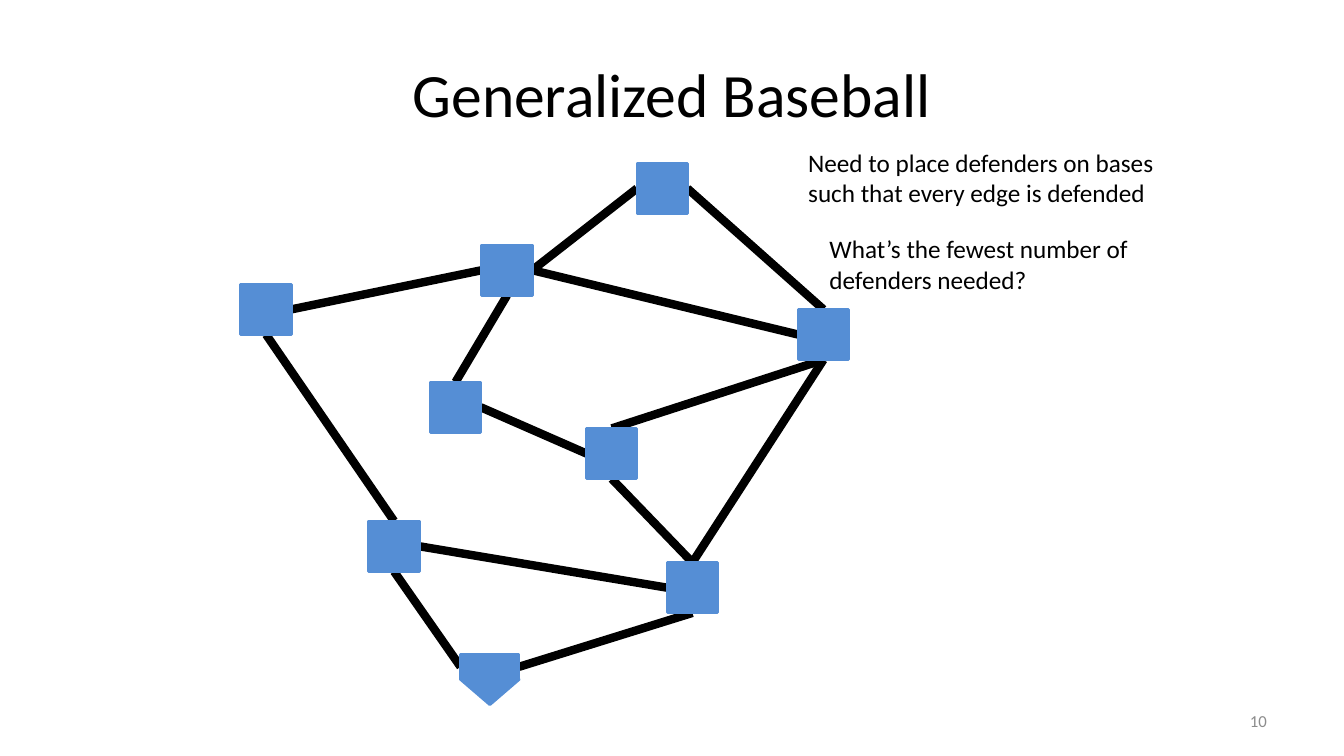
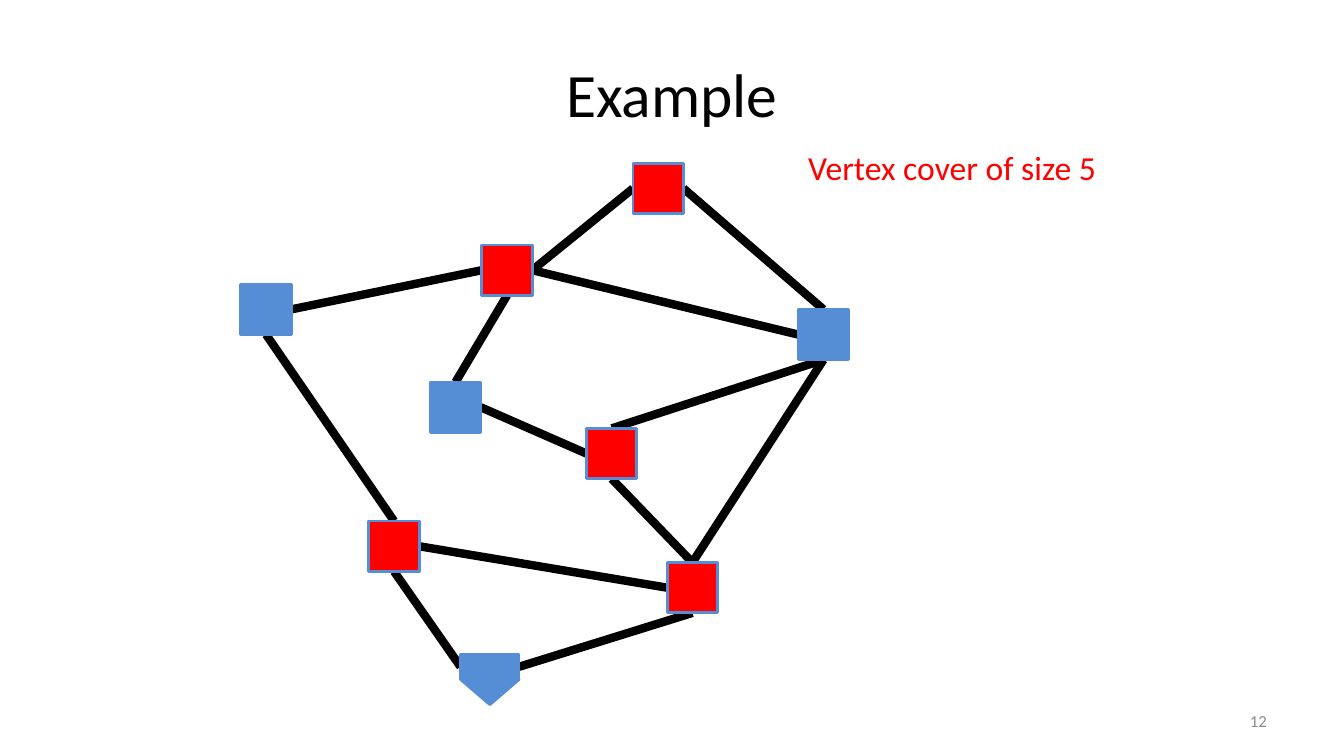
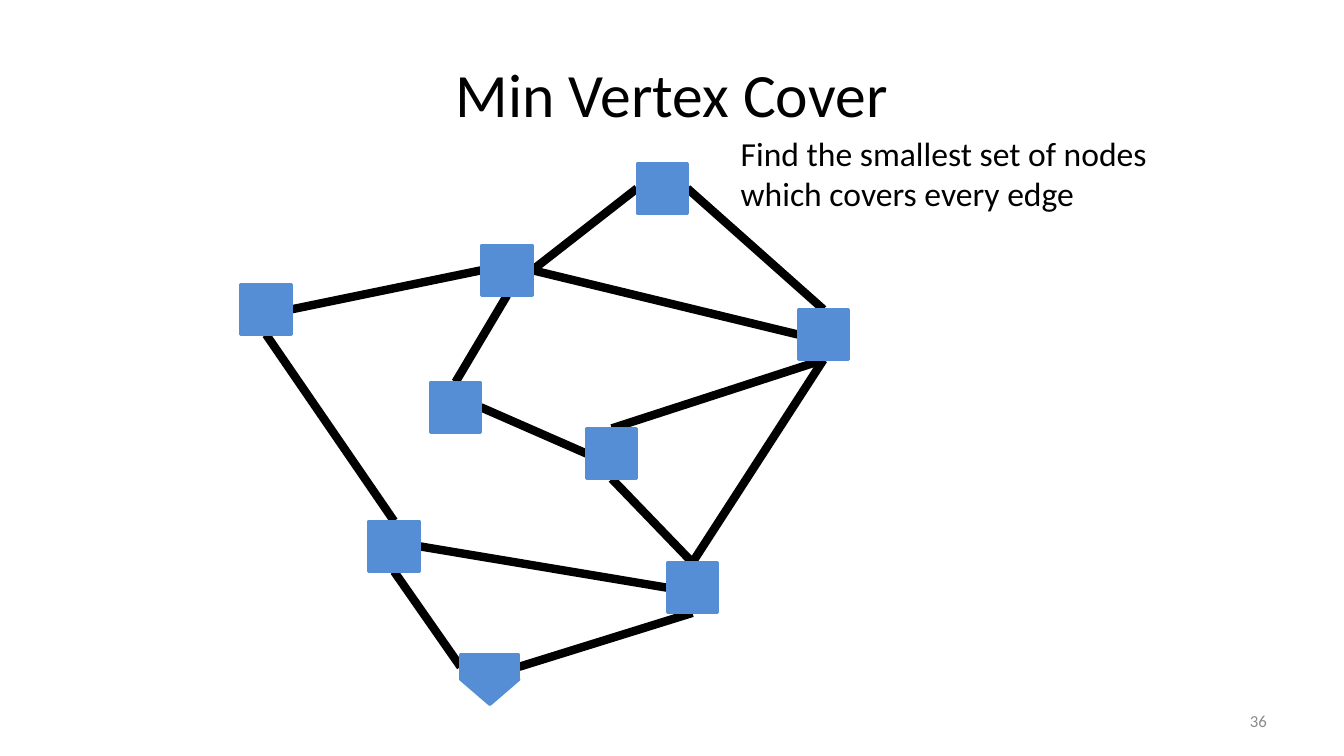
from lxml import etree
from pptx import Presentation
from pptx.dml.color import RGBColor
from pptx.enum.shapes import MSO_CONNECTOR as CONN, MSO_SHAPE as SHAPE
from pptx.enum.text import MSO_ANCHOR as ANCHOR, MSO_AUTO_SIZE as FIT, PP_ALIGN as ALIGN
from pptx.oxml.ns import qn
from pptx.util import Pt

# Colours
BLACK = RGBColor(0x00, 0x00, 0x00)
GRAY = RGBColor(0x8C, 0x8C, 0x8C)
BLUE = RGBColor(0x55, 0x8E, 0xD5)
RED = RGBColor(0xFF, 0x00, 0x00)

# Graph: bases by left and top, edges by base and side
BASE_SIZE = 36
BASES = {
    "southwest": (263.5, 372.2),
    "southeast": (476.6, 401.8),
    "east": (570.2, 221),
    "middle": (307.4, 272.9),
    "west": (172.1, 203),
    "northwest": (344.2, 175),
    "center": (419, 306),
    "north": (455, 116.6),
}
PLATE_LEFT, PLATE_TOP, PLATE_WIDTH, PLATE_HEIGHT = 329, 467.3, 41.8, 18
TOP, LEFT, BOTTOM, RIGHT = range(4)
EDGES = [
    ("plate", RIGHT, "southeast", BOTTOM),
    ("southwest", BOTTOM, "plate", LEFT),
    ("southeast", LEFT, "southwest", RIGHT),
    ("west", BOTTOM, "southwest", TOP),
    ("west", RIGHT, "northwest", LEFT),
    ("northwest", RIGHT, "east", LEFT),
    ("northwest", BOTTOM, "middle", TOP),
    ("middle", RIGHT, "center", LEFT),
    ("east", BOTTOM, "center", TOP),
    ("northwest", RIGHT, "north", LEFT),
    ("east", TOP, "north", RIGHT),
    ("southeast", TOP, "center", BOTTOM),
    ("southeast", TOP, "east", BOTTOM),
]

# Slides: notes are text, box, size and colour
SLIDES = [
    {"title": "Generalized Baseball", "number": "10", "cover": (), "moved": {},
     "notes": [
         ("Need to place defenders on bases such that every edge is defended",
          (570.2, 101.5, 270, 51), 18, BLACK),
         ("What’s the fewest number of defenders needed?",
          (585.4, 163.4, 270, 51), 18, BLACK)]},
    {"title": "Example", "number": "12",
     "cover": ("southwest", "southeast", "northwest", "center", "north"),
     "moved": {"north": (452.2, 116.6)},
     "notes": [("Vertex cover of size 5", (570.2, 101.5, 270, 36), 24, RED)]},
    {"title": "Min Vertex Cover", "number": "36", "cover": (), "moved": {},
     "notes": [("Find the smallest set of nodes which covers every edge",
                (522, 91.4, 318.2, 65.5), 24, BLACK)]},
]


def add_text(s, text, box, size, color, align=ALIGN.LEFT, **frame_format):
    tf = s.shapes.add_textbox(*map(Pt, box)).text_frame
    for name, value in {"word_wrap": True, **frame_format}.items():
        setattr(tf, name, value)
    p = tf.paragraphs[0]
    p.alignment = align
    r = p.add_run()
    r.text = text
    for name, value in {"name": "Calibri", "size": Pt(size)}.items():
        setattr(r.font, name, value)
    r.font.color.rgb = color


def add_block(s, kind, box, fill):
    sp = s.shapes.add_shape(kind, *map(Pt, box))
    sp.shadow.inherit = False
    sp.fill.solid()
    sp.fill.fore_color.rgb = fill
    sp.line.color.rgb = BLUE
    sp.line.width = Pt(2)
    return sp


prs = Presentation()
prs.slide_width, prs.slide_height = Pt(960), Pt(540)

# Shared title position
layout = prs.slide_layouts.get_by_name("Title Only")
title_box = {"left": 48, "top": 21.6, "width": 864, "height": 90}
for name, value in title_box.items():
    setattr(layout.placeholders[0], name, Pt(value))

for content in SLIDES:
    s = prs.slides.add_slide(layout)

    # Title and slide number
    s.shapes.title.text = content["title"]
    add_text(s, content["number"], (688, 500.5, 224, 28.75), 12, GRAY,
             ALIGN.RIGHT, vertical_anchor=ANCHOR.MIDDLE)

    # Edges lie behind the bases
    lines = []
    for edge in EDGES:
        line = s.shapes.add_connector(CONN.STRAIGHT, 0, 0, 0, 0)
        line.line.color.rgb = BLACK
        line.line.width = Pt(6)
        etree.SubElement(line.element.spPr, qn("a:effectLst"))
        lines.append(line)

    # Home plate
    tip = add_block(s, SHAPE.ISOSCELES_TRIANGLE,
                    (PLATE_LEFT, PLATE_TOP + PLATE_HEIGHT, PLATE_WIDTH, PLATE_HEIGHT), BLUE)
    tip.rotation = 180
    nodes = {"plate": add_block(s, SHAPE.RECTANGLE,
                                (PLATE_LEFT, PLATE_TOP, PLATE_WIDTH, PLATE_HEIGHT), BLUE)}

    # Bases, red where defended
    for name, (left, top) in {**BASES, **content["moved"]}.items():
        fill = RED if name in content["cover"] else BLUE
        nodes[name] = add_block(s, SHAPE.RECTANGLE, (left, top, BASE_SIZE, BASE_SIZE), fill)

    # Join the edges to the bases
    for line, (start, start_side, end, end_side) in zip(lines, EDGES):
        line.begin_connect(nodes[start], start_side)
        line.end_connect(nodes[end], end_side)

    # Notes
    for text, box, size, color in content["notes"]:
        add_text(s, text, box, size, color, auto_size=FIT.SHAPE_TO_FIT_TEXT)

prs.save("out.pptx")
